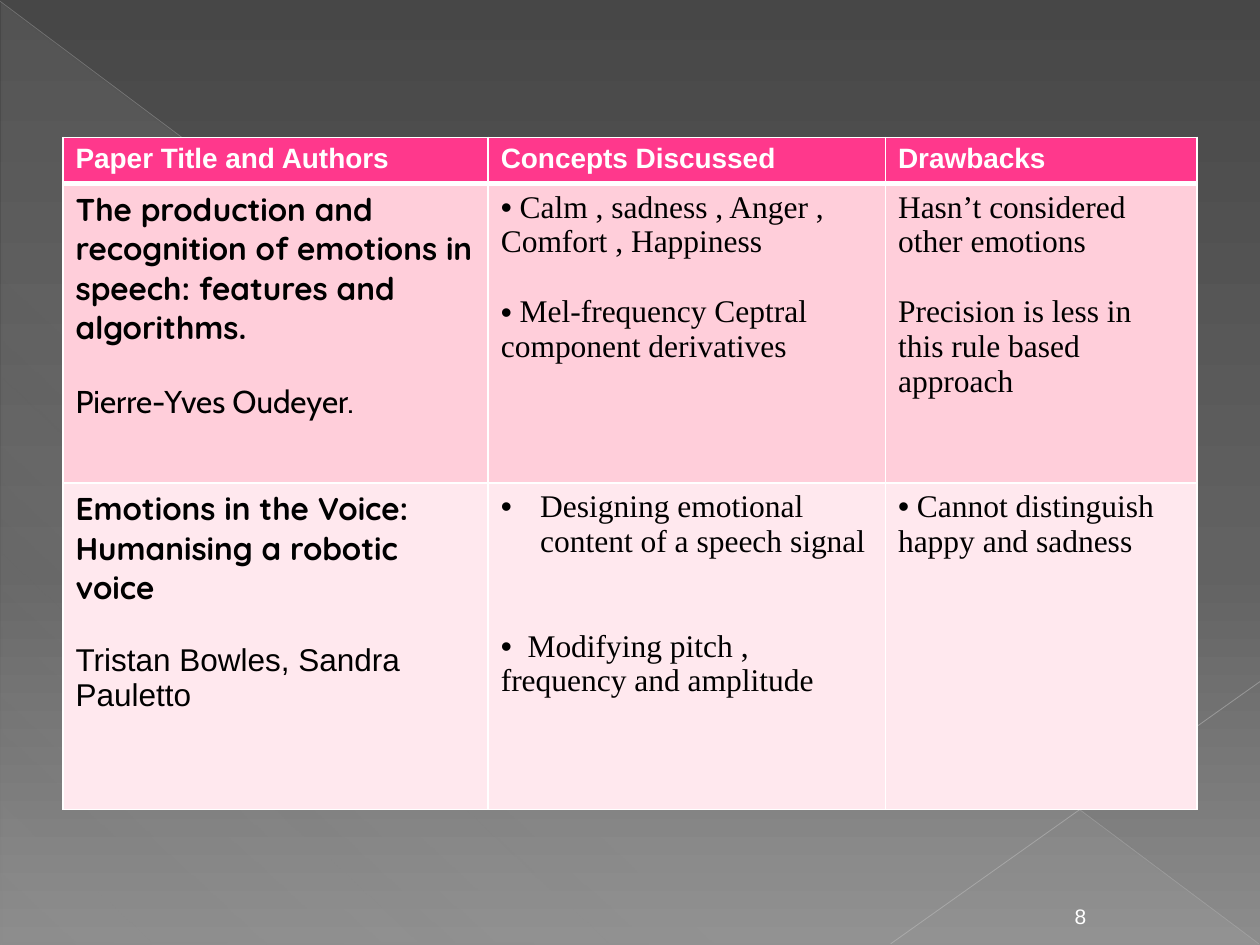
from lxml.etree import SubElement
from pptx import Presentation
from pptx.dml.color import RGBColor
from pptx.enum.shapes import MSO_CONNECTOR as Connector, MSO_SHAPE as Shape
from pptx.enum.text import MSO_ANCHOR as Anchor, PP_ALIGN as Align
from pptx.oxml.ns import qn
from pptx.util import Pt

COLORS = {
    "white": "FFFFFF", "black": "000000", "header": "FF388C",
    "odd_row": "FFCEDA", "even_row": "FFE8EE", "glow": "D2D2D2",
    "diagonal": "BFBFBF", "corner": "C6C6C6",
    "dark": "474747", "middle": "626262", "light": "8C8C8C",
}
LINE_GAP = 20  # height of one line of body text
SERIF = "Times New Roman"


def rgb(name):
    return RGBColor.from_string(COLORS[name])


def add_color(parent, name, alpha=100):
    color = SubElement(parent, qn("a:srgbClr"), val=COLORS[name])
    if alpha < 100:
        SubElement(color, qn("a:alpha"), val=str(alpha * 1000))


def set_gradient(fill, element, stops, angle):
    fill.gradient()
    gradient = element.xpath(".//a:gradFill")[0]
    gradient.clear()
    stop_list = SubElement(gradient, qn("a:gsLst"))
    for position, name, alpha in stops:
        add_color(SubElement(stop_list, qn("a:gs"), pos=str(position * 1000)), name, alpha)
    SubElement(gradient, qn("a:lin"), ang=str(angle * 60000), scaled="0")


def write(frame, text, *, font="Arial", size=18, color="black", bold=False,
          align=Align.LEFT, before=0, bullet=False, hanging=0):
    """Fill the first empty paragraph of the frame, or add one."""
    paragraph = frame.paragraphs[-1]
    if paragraph.runs:
        paragraph = frame.add_paragraph()
    paragraph.alignment = align
    paragraph.space_before = Pt(before)
    run = paragraph.add_run()
    run.text = text
    run.font.name, run.font.size, run.font.bold = font, Pt(size), bold
    run.font.color.rgb = rgb(color)
    if bullet:
        properties = paragraph._p.get_or_add_pPr()
        properties.set("marL", str(Pt(hanging)))
        properties.set("indent", str(-Pt(hanging)))
        SubElement(properties, qn("a:buFont"), typeface="Arial")
        SubElement(properties, qn("a:buChar"), char="•")


def add_thin_line(slide, start, end, color, width, alpha):
    line = slide.shapes.add_connector(Connector.STRAIGHT, *map(Pt, start + end))
    line.line.width = Pt(width)
    line.line.fill.solid()
    solid = line.element.xpath(".//a:ln/a:solidFill")[0]
    solid.clear()
    add_color(solid, color, alpha)
    SubElement(line.element.spPr, qn("a:effectLst"))


def draw_backdrop(slide, left, top, width, height):
    fill = slide.background.fill
    set_gradient(fill, slide.element,
                 [(0, "dark", 100), (60, "middle", 100), (100, "light", 100)], 90)
    # Pale triangle below the diagonal
    triangle = slide.shapes.add_shape(Shape.RIGHT_TRIANGLE, Pt(left + 0.7), Pt(top + 1.4),
                                      Pt(width - 0.7), Pt(height - 1.4))
    triangle.shadow.inherit = False
    triangle.line.fill.background()
    set_gradient(triangle.fill, triangle.element,
                 [(0, "glow", 10), (70, "glow", 8), (100, "glow", 1)], 133)
    # Crossing lines
    right, bottom = left + width, top + height
    add_thin_line(slide, (left, top + 0.7), (right - 0.7, bottom - 0.7), "diagonal", 0.39, 35)
    add_thin_line(slide, (right, bottom - 150.5), (right - 211, bottom - 0.7), "corner", 0.47, 45)


def add_page_number(slide, number, left, top, width, height):
    box = slide.shapes.add_textbox(Pt(left), Pt(top), Pt(width), Pt(height))
    box.text_frame.word_wrap = True
    box.text_frame.vertical_anchor = Anchor.BOTTOM
    write(box.text_frame, number, size=12, color="white", align=Align.CENTER)


def set_borders(cell, bottom):
    properties = cell._tc.get_or_add_tcPr()
    for index, (side, width) in enumerate(
            [("lnL", 1), ("lnR", 1), ("lnT", 1), ("lnB", bottom)]):
        border = properties.makeelement(qn(f"a:{side}"), {"w": str(Pt(width))})
        add_color(SubElement(border, qn("a:solidFill")), "white")
        properties.insert(index, border)


def add_paper_table(slide, rows, left, top, column_widths, row_heights):
    table = slide.shapes.add_table(
        len(rows), len(column_widths), Pt(left), Pt(top),
        Pt(sum(column_widths)), Pt(sum(row_heights))).table
    table.horz_banding = False
    for column, width in zip(table.columns, column_widths):
        column.width = Pt(width)
    for row, height, fill, contents in zip(
            table.rows, row_heights, ["header", "odd_row", "even_row"], rows):
        row.height = Pt(height)
        for cell, paragraphs in zip(row.cells, contents):
            cell.fill.solid()
            cell.fill.fore_color.rgb = rgb(fill)
            set_borders(cell, 3 if fill == "header" else 1)
            for text, style in paragraphs:
                write(cell.text_frame, text, **style)


# Text styles
heading = dict(size=16, color="white", bold=True)
paper = dict(font="Quicksand", bold=True)
note = dict(font=SERIF)
point = dict(font=SERIF, bullet=True)
spaced = dict(before=LINE_GAP)

papers = [
    [[(label, heading)] for label in
     ("Paper Title and Authors", "Concepts Discussed", "Drawbacks")],
    [
        [("The production and recognition of emotions in speech: features and algorithms.", paper),
         ("Pierre-Yves Oudeyer.", dict(font="Cabin", **spaced))],
        [(" Calm , sadness , Anger , Comfort , Happiness", point),
         (" Mel-frequency Ceptral component derivatives", point | spaced)],
        [("Hasn’t considered other emotions", note),
         ("Precision is less in this rule based approach", note | spaced)],
    ],
    [
        [("Emotions in the Voice: Humanising a robotic voice", paper),
         ("Tristan Bowles, Sandra Pauletto", spaced)],
        [("Designing emotional content of a speech signal", point | dict(hanging=22.5)),
         ("  Modifying pitch , frequency and amplitude", point | dict(before=2 * LINE_GAP))],
        [(" Cannot distinguish happy and sadness", point)],
    ],
]

deck = Presentation()
deck.slide_width, deck.slide_height = Pt(720), Pt(540)
slide = deck.slides.add_slide(deck.slide_layouts[6])
draw_backdrop(slide, 0, 0, 720, 540)
add_page_number(slide, "8", 597.6, 510.5, 39.6, 23.8)
add_paper_table(slide, papers, 36, 78.5, [243, 227, 178], [26.5, 171, 186.5])
deck.save("out.pptx")
